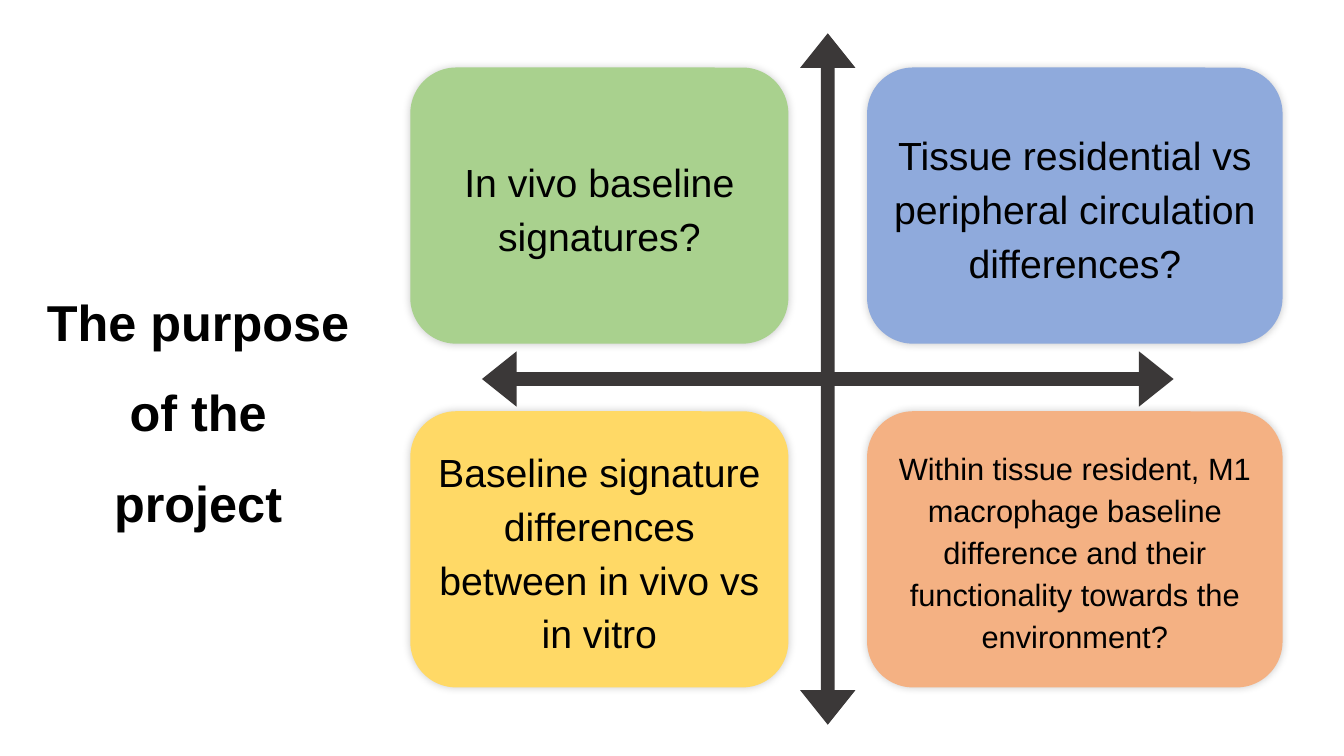
from dataclasses import dataclass
from itertools import product
from typing import NamedTuple

from lxml.etree import SubElement
from pptx import Presentation
from pptx.dml.color import RGBColor as Rgb
from pptx.enum.shapes import MSO_SHAPE as Geo
from pptx.enum.text import MSO_ANCHOR as Anchor, PP_ALIGN as Align
from pptx.oxml.ns import qn
from pptx.util import Emu, Inches, Pt

WIDE, HIGH = Inches(13.33), Inches(7.5)


@dataclass(frozen=True)
class Theme:
    font: str = "Arial"
    ink: str = "000000"
    arrow: str = "3B3838"
    green: str = "A9D18E"
    blue: str = "8FAADC"
    gold: str = "FFD966"
    peach: str = "F4B183"
    head: int = 36
    body: int = 28
    small: int = 22


class Span(NamedTuple):
    """Start and length along one axis, in percent of the slide."""
    start: float
    size: float

    def on(self, full: int) -> tuple[Emu, Emu]:
        return Emu(round(full * self.start / 100)), Emu(round(full * self.size / 100))


class Card(NamedTuple):
    text: str
    fill: str
    size: int


THEME = Theme()
COLS = (Span(30.53, 28.13), Span(64.52, 30.91))
ROWS = (Span(8.93, 36.53), Span(54.4, 36.53))
CROSS = (Span(35.86, 51.46), Span(4.4, 91.47))
TITLE = (Span(2.33, 24.83), Span(28.8, 47.33))
CARDS = (
    Card("In vivo baseline signatures?", THEME.green, THEME.body),
    Card("Tissue residential vs peripheral circulation differences?",
         THEME.blue, THEME.body),
    Card("Baseline signature differences between in vivo vs in vitro",
         THEME.gold, THEME.body),
    Card("Within tissue resident, M1 macrophage baseline difference and their "
         "functionality towards the environment?", THEME.peach, THEME.small),
)


def place(shape, col: Span, row: Span) -> None:
    shape.left, shape.width = col.on(WIDE)
    shape.top, shape.height = row.on(HIGH)


def write(shape, text: str, size: int, lead: float, bold: bool = False) -> None:
    frame = shape.text_frame
    frame.word_wrap = True
    frame.vertical_anchor = Anchor.MIDDLE
    para = frame.paragraphs[0]
    para.alignment = Align.CENTER
    para.line_spacing = lead
    run = para.add_run()
    run.text = text
    font = run.font
    font.name, font.size, font.bold = THEME.font, Pt(size), bold
    font.color.rgb = Rgb.from_string(THEME.ink)


def draw(slide, kind: Geo, col: Span, row: Span, fill: str):
    """Add a filled shape without line or shadow."""
    shape = slide.shapes.add_shape(kind, 0, 0, 0, 0)
    place(shape, col, row)
    shape.fill.solid()
    shape.fill.fore_color.rgb = Rgb.from_string(fill)
    shape.line.fill.background()
    shape.shadow.inherit = False
    return shape


def glow(shape) -> None:
    """Put a soft, centred shadow behind the shape."""
    effects = shape._element.spPr.find(qn("a:effectLst"))
    shade = SubElement(effects, qn("a:outerShdw"), blurRad=str(Pt(6)),
                       dist="0", dir=str(315 * 60000), rotWithShape="0")
    color = SubElement(shade, qn("a:srgbClr"), val=THEME.ink)
    SubElement(color, qn("a:alpha"), val="20000")


def add_card(slide, card: Card, col: Span, row: Span) -> None:
    shape = draw(slide, Geo.ROUNDED_RECTANGLE, col, row, card.fill)
    glow(shape)
    frame = shape.text_frame
    inset = Inches(0.12 if card.size == THEME.body else 0.09)
    frame.margin_left = frame.margin_right = inset
    frame.margin_top = frame.margin_bottom = inset
    write(shape, card.text, card.size, 1.14)


def main() -> None:
    deck = Presentation()
    deck.slide_width, deck.slide_height = WIDE, HIGH
    slide = deck.slides.add_slide(deck.slide_layouts[5])

    title = slide.shapes.title
    place(title, *TITLE)
    write(title, "The purpose of the project", THEME.head, 1.5, bold=True)

    cross = draw(slide, Geo.QUAD_ARROW, *CROSS, THEME.arrow)
    for i, share in enumerate((0.02, 0.04, 0.05)):
        cross.adjustments[i] = share

    for card, (row, col) in zip(CARDS, product(ROWS, COLS)):
        add_card(slide, card, col, row)

    deck.save("out.pptx")


if __name__ == "__main__":
    main()
